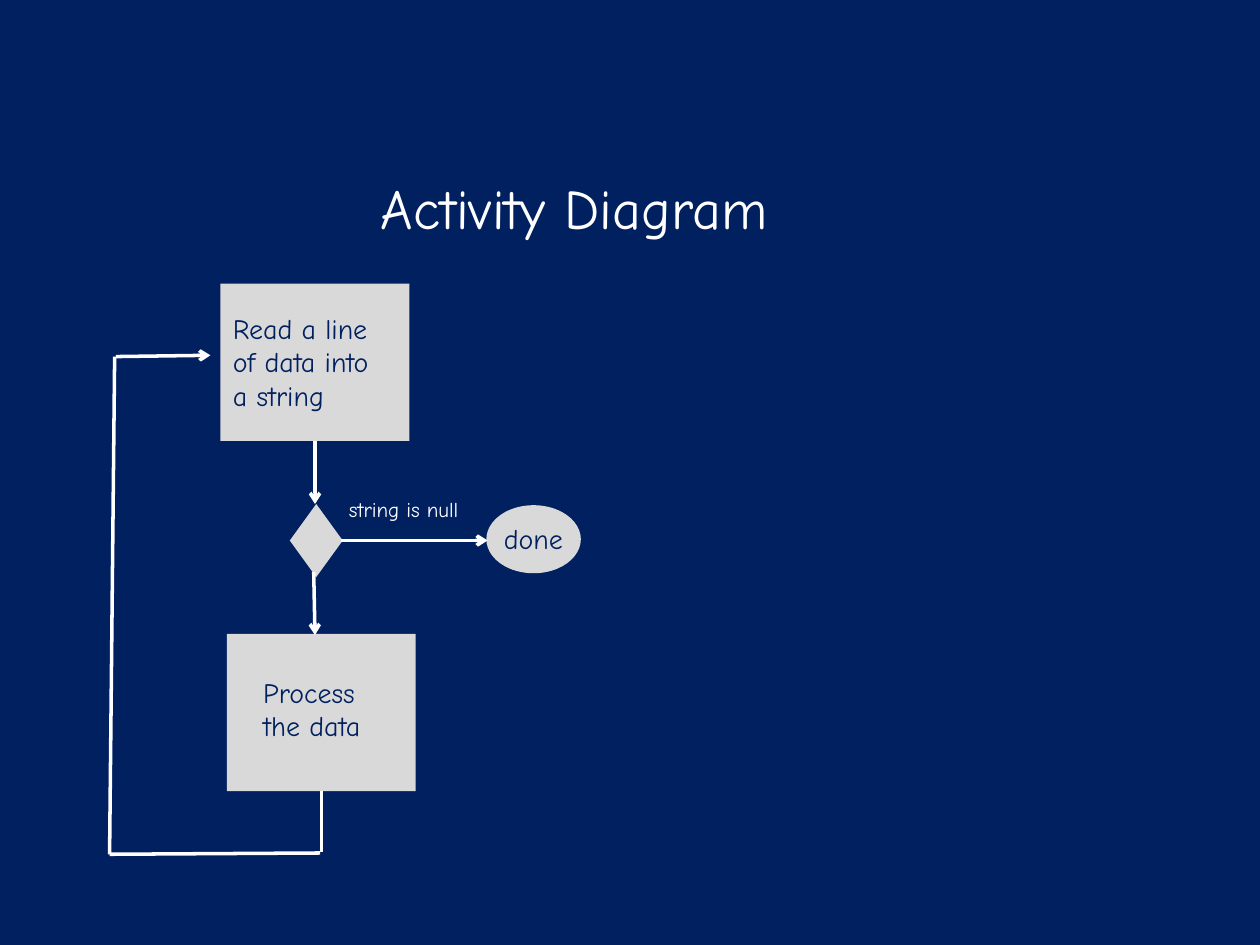
"""Builds the activity diagram slide."""
from typing import NamedTuple

import pptx
import pptx.dml.color
import pptx.enum.shapes
import pptx.enum.text
import pptx.oxml
import pptx.oxml.ns
import pptx.slide
import pptx.text.text
import pptx.util

COLUMNS, ROWS = 40, 30
CELL = pptx.util.Inches(0.25)
FONT = "Comic Neue"
NAVY, WHITE, GREY = "002060", "FFFFFF", "D9D9D9"
SHAPES = pptx.enum.shapes.MSO_SHAPE


class Area(NamedTuple):
    """A rectangle in grid columns and rows."""
    column: float
    row: float
    columns: float
    rows: float


class Node(NamedTuple):
    """A filled shape of the diagram."""
    kind: SHAPES
    area: Area


class Label(NamedTuple):
    """A text box with one paragraph per line."""
    area: Area
    lines: tuple[str, ...]
    size: int = 16
    color: str = NAVY


class Flow(NamedTuple):
    """A line between two grid points, with or without an arrowhead."""
    start: tuple[float, float]
    end: tuple[float, float]
    arrow: bool = True


TITLE = Label(Area(11.68, 5.32, 17.32, 2.56), ("Activity Diagram",), 32, WHITE)

NODES = (
    Node(SHAPES.RECTANGLE, Area(7, 9, 6, 5)),
    Node(SHAPES.DIAMOND, Area(9.2, 16, 1.68, 2.32)),
    Node(SHAPES.OVAL, Area(15.44, 16.04, 3, 2.16)),
    Node(SHAPES.RECTANGLE, Area(7.2, 20.12, 6, 5)),
)

LABELS = (
    Label(Area(7, 9.68, 5.76, 3.64), ("Read a line", "of data into", "a string")),
    Label(Area(10.68, 15.56, 4.8, 1.2), ("string is null",), 12, WHITE),
    Label(Area(15.6, 16.36, 2.76, 1.48), ("done",)),
    Label(Area(7.96, 21.24, 4.36, 2.56), ("Process", "the data")),
)

FLOWS = (
    Flow((10, 14), (10, 16)),
    Flow((10.84, 17.16), (15.48, 17.16)),
    Flow((9.96, 18.16), (10, 20.16)),
    Flow((10.2, 25.12), (10.2, 27.04), arrow=False),
    Flow((10.16, 27.08), (3.48, 27.12), arrow=False),
    Flow((3.48, 27.12), (3.64, 11.32), arrow=False),
    Flow((3.68, 11.32), (6.68, 11.28)),
)


def rgb(color: str) -> pptx.dml.color.RGBColor:
    """Turn a hex string into a colour."""
    return pptx.dml.color.RGBColor.from_string(color)


def grid(*cells: float) -> list[int]:
    """Turn counts of grid cells into slide lengths."""
    return [round(cell * CELL) for cell in cells]


def write(frame: pptx.text.text.TextFrame, label: Label, wrap: bool) -> None:
    """Fill a text frame with the lines of a label."""
    frame.word_wrap = wrap
    frame.auto_size = pptx.enum.text.MSO_AUTO_SIZE.SHAPE_TO_FIT_TEXT
    frame.vertical_anchor = pptx.enum.text.MSO_ANCHOR.TOP
    for index, line in enumerate(label.lines):
        para = frame.add_paragraph() if index else frame.paragraphs[0]
        para.alignment = pptx.enum.text.PP_ALIGN.LEFT
        span = para.add_run()
        span.text = line
        span.font.name = FONT
        span.font.size = pptx.util.Pt(label.size)
        span.font.color.rgb = rgb(label.color)


def add_title(page: pptx.slide.Slide, label: Label) -> None:
    """Move the title placeholder and write the title."""
    title = page.shapes.title
    title.left, title.top, title.width, title.height = grid(*label.area)
    write(title.text_frame, label, wrap=True)


def add_node(page: pptx.slide.Slide, node: Node) -> None:
    """Draw a grey shape without outline."""
    shape = page.shapes.add_shape(node.kind, *grid(*node.area))
    shape.shadow.inherit = False
    shape.fill.solid()
    shape.fill.fore_color.rgb = rgb(GREY)
    shape.line.fill.background()


def add_label(page: pptx.slide.Slide, label: Label) -> None:
    """Draw a text box."""
    box = page.shapes.add_textbox(*grid(*label.area))
    write(box.text_frame, label, wrap=False)


def add_flow(page: pptx.slide.Slide, flow: Flow) -> None:
    """Draw a white line, with an open arrowhead where asked."""
    connector = page.shapes.add_connector(
        pptx.enum.shapes.MSO_CONNECTOR.STRAIGHT, *grid(*flow.start, *flow.end))
    connector.line.width = pptx.util.Pt(2)
    connector.line.color.rgb = rgb(WHITE)
    if flow.arrow:
        head = pptx.oxml.parse_xml(
            f'<a:tailEnd {pptx.oxml.ns.nsdecls("a")} type="arrow"/>')
        connector.line._get_or_add_ln().append(head)
    connector._element.spPr.append(
        pptx.oxml.parse_xml(f'<a:effectLst {pptx.oxml.ns.nsdecls("a")}/>'))


def main() -> None:
    """Build and save the deck."""
    deck = pptx.Presentation()
    deck.slide_width, deck.slide_height = grid(COLUMNS, ROWS)
    page = deck.slides.add_slide(deck.slide_layouts.get_by_name("Title Only"))
    page.background.fill.solid()
    page.background.fill.fore_color.rgb = rgb(NAVY)
    add_title(page, TITLE)
    for node in NODES:
        add_node(page, node)
    for label in LABELS:
        add_label(page, label)
    for flow in FLOWS:
        add_flow(page, flow)
    deck.save("out.pptx")


main()
